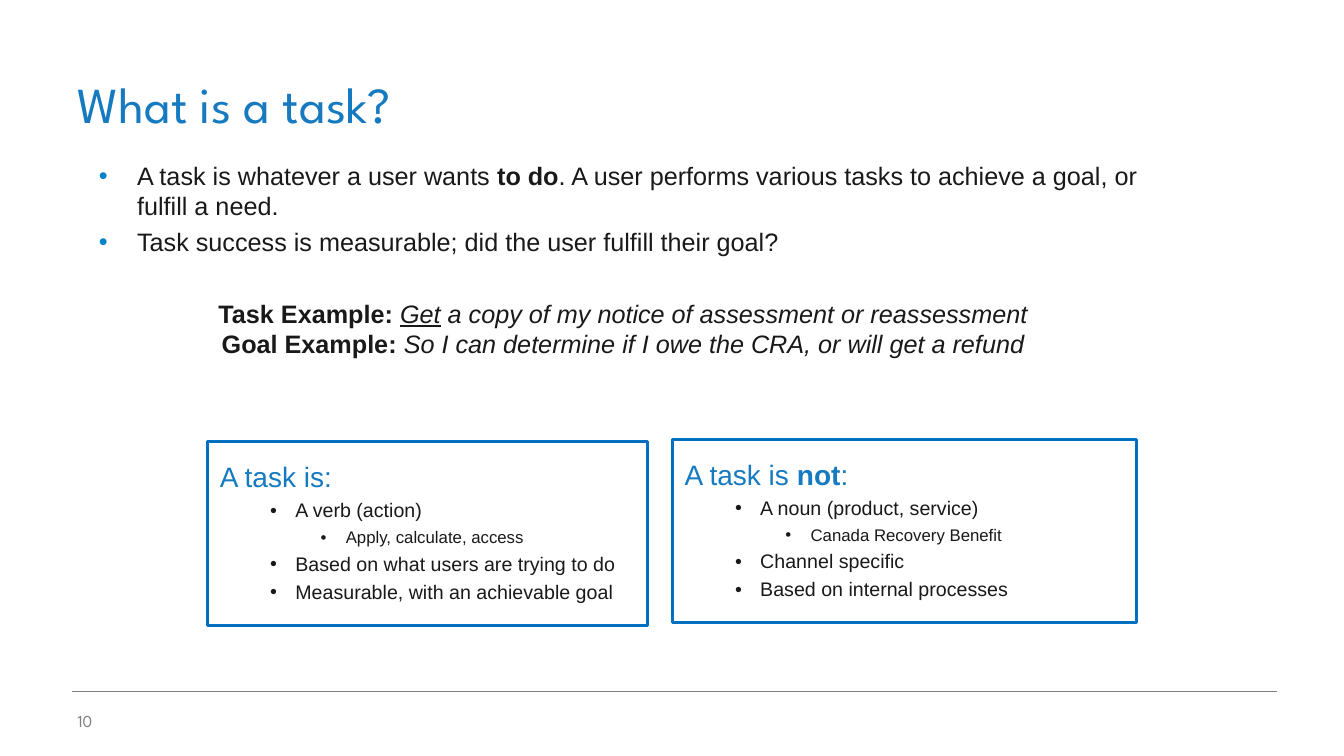
from dataclasses import dataclass

from lxml import etree
from pptx import Presentation
from pptx import util as u
from pptx.dml.color import RGBColor
from pptx.enum import shapes, text
from pptx.oxml import ns

WIDTH, HEIGHT = u.Inches(13.33), u.Inches(7.5)
TITLE_BLUE = RGBColor(0x15, 0x7A, 0xC0)
BULLET_BLUE = RGBColor(0x00, 0x82, 0xC9)
BORDER_BLUE = RGBColor(0x00, 0x70, 0xC0)
INK = RGBColor(0x19, 0x19, 0x19)
GREY = RGBColor(0x7F, 0x7F, 0x7F)
HEADING_FONT, BODY_FONT = "League Spartan", "Arial"
BOX_SIZES = (20, 14, 12)


@dataclass(frozen=True)
class Area:
    left: float
    top: float
    width: float
    height: float

    def emu(self) -> tuple[int, int, int, int]:
        return (int(WIDTH * self.left / 100), int(HEIGHT * self.top / 100),
                int(WIDTH * self.width / 100), int(HEIGHT * self.height / 100))


@dataclass(frozen=True)
class Run:
    text: str
    bold: bool = False
    italic: bool = False
    underline: bool = False
    breaks: bool = False


@dataclass(frozen=True)
class Line:
    runs: tuple[Run, ...]
    level: int = 0


@dataclass(frozen=True)
class Box:
    area: Area
    lines: tuple[Line, ...]


TITLE = Area(5.03, 4, 90.02, 14.4)
BODY = Area(6.6, 20.53, 79.52, 33.47)
NUMBER = Area(5.03, 92.67, 10.73, 5.33)
RULE = Area(5.33, 91.47, 89.72, 0)

POINTS = (
    Line((Run("A task is whatever a user wants "), Run("to do", bold=True),
          Run(". A user performs various tasks to achieve a goal, or fulfill a need."))),
    Line((Run("Task success is measurable; did the user fulfill their goal?"),)),
)
EXAMPLES = Line((
    Run("Task Example: ", bold=True), Run("Get", italic=True, underline=True),
    Run(" a copy of my notice of assessment or reassessment", italic=True, breaks=True),
    Run("Goal Example: ", bold=True),
    Run("So I can determine if I owe the CRA, or will get a refund", italic=True),
))
BOXES = (
    Box(Area(15.45, 58.4, 32.71, 24.4), (
        Line((Run("A task is:"),)),
        Line((Run("A verb (action)"),), 1),
        Line((Run("Apply, calculate, access"),), 2),
        Line((Run("Based on what users are trying to do"),), 1),
        Line((Run("Measurable, with an achievable goal"),), 1))),
    Box(Area(50.04, 58.13, 34.51, 24.27), (
        Line((Run("A task is "), Run("not", bold=True), Run(":"))),
        Line((Run("A noun (product, service)"),), 1),
        Line((Run("Canada Recovery Benefit"),), 2),
        Line((Run("Channel specific"),), 1),
        Line((Run("Based on internal processes"),), 1))),
)


def place(sp, area: Area) -> None:
    sp.left, sp.top, sp.width, sp.height = area.emu()


def set_bullet(p, margin: float, hang: float, color: RGBColor) -> None:
    pPr = p._p.get_or_add_pPr()
    pPr.set("marL", str(u.Inches(margin)))
    pPr.set("indent", str(-u.Inches(hang)))
    clr = etree.SubElement(pPr, ns.qn("a:buClr"))
    etree.SubElement(clr, ns.qn("a:srgbClr"), val=str(color))
    etree.SubElement(pPr, ns.qn("a:buFont"), typeface=BODY_FONT)
    etree.SubElement(pPr, ns.qn("a:buChar"), char="•")


def add_runs(p, runs: tuple[Run, ...], size: int, color: RGBColor,
             font: str = BODY_FONT) -> None:
    for run in runs:
        r = p.add_run()
        r.text = run.text
        r.font.size, r.font.name = u.Pt(size), font
        r.font.color.rgb = color
        r.font.bold, r.font.italic = run.bold, run.italic
        r.font.underline = run.underline
        if run.breaks:
            p.add_line_break()


def next_paragraph(tf, index: int):
    return tf.add_paragraph() if index else tf.paragraphs[0]


def fill_label(sp, label: str, size: int, color: RGBColor, anchor) -> None:
    tf = sp.text_frame
    tf.word_wrap, tf.auto_size = True, text.MSO_AUTO_SIZE.NONE
    tf.vertical_anchor = anchor
    p = tf.paragraphs[0]
    p.alignment = text.PP_ALIGN.LEFT
    add_runs(p, (Run(label),), size, color, HEADING_FONT)


def fill_body(sp) -> None:
    tf = sp.text_frame
    tf.word_wrap, tf.auto_size = True, text.MSO_AUTO_SIZE.NONE
    for i, line in enumerate(POINTS):
        p = next_paragraph(tf, i)
        p.space_before = u.Pt(4.3)
        set_bullet(p, 0.38, 0.38, BULLET_BLUE)
        add_runs(p, line.runs, 18, INK)
    p = tf.add_paragraph()
    p.alignment, p.space_before = text.PP_ALIGN.CENTER, u.Pt(29.3)
    pPr = p._p.get_or_add_pPr()
    pPr.set("marL", "0")
    pPr.set("indent", "0")
    etree.SubElement(pPr, ns.qn("a:buNone"))
    add_runs(p, EXAMPLES.runs, 18, INK)


def add_box(slide, box: Box) -> None:
    sp = slide.shapes.add_shape(shapes.MSO_SHAPE.RECTANGLE, *box.area.emu())
    sp.shadow.inherit = False
    sp.fill.background()
    sp.line.color.rgb, sp.line.width = BORDER_BLUE, u.Pt(2.25)
    tf = sp.text_frame
    tf.word_wrap, tf.vertical_anchor = True, text.MSO_ANCHOR.MIDDLE
    tf.margin_left, tf.margin_right = u.Inches(0.12), u.Inches(0.08)
    for i, line in enumerate(box.lines):
        p = next_paragraph(tf, i)
        p.level, p.alignment = line.level, text.PP_ALIGN.LEFT
        p.line_spacing, p.space_before = 0.9, u.Pt(5 if line.level else 10)
        if line.level:
            set_bullet(p, 0.25 + 0.5 * line.level, 0.25, INK)
        add_runs(p, line.runs, BOX_SIZES[line.level], INK if line.level else TITLE_BLUE)


def add_rule(slide) -> None:
    x, y, width, height = RULE.emu()
    rule = slide.shapes.add_connector(
        shapes.MSO_CONNECTOR.STRAIGHT, x, y, x + width, y + height)
    rule.line.color.rgb, rule.line.width = GREY, u.Pt(0.25)
    etree.SubElement(rule._element.spPr, ns.qn("a:effectLst"))


def main() -> None:
    """Build the slide that explains what a task is."""
    prs = Presentation()
    prs.slide_width, prs.slide_height = WIDTH, HEIGHT
    slide = prs.slides.add_slide(prs.slide_layouts[1])
    title, body = slide.shapes.title, slide.placeholders[1]
    place(title, TITLE)
    fill_label(title, "What is a task?", 36, TITLE_BLUE, text.MSO_ANCHOR.BOTTOM)
    place(body, BODY)
    fill_body(body)
    add_rule(slide)
    number = slide.shapes.add_textbox(*NUMBER.emu())
    fill_label(number, "10", 12, GREY, text.MSO_ANCHOR.MIDDLE)
    for box in BOXES:
        add_box(slide, box)
    prs.save("out.pptx")


if __name__ == "__main__":
    main()
